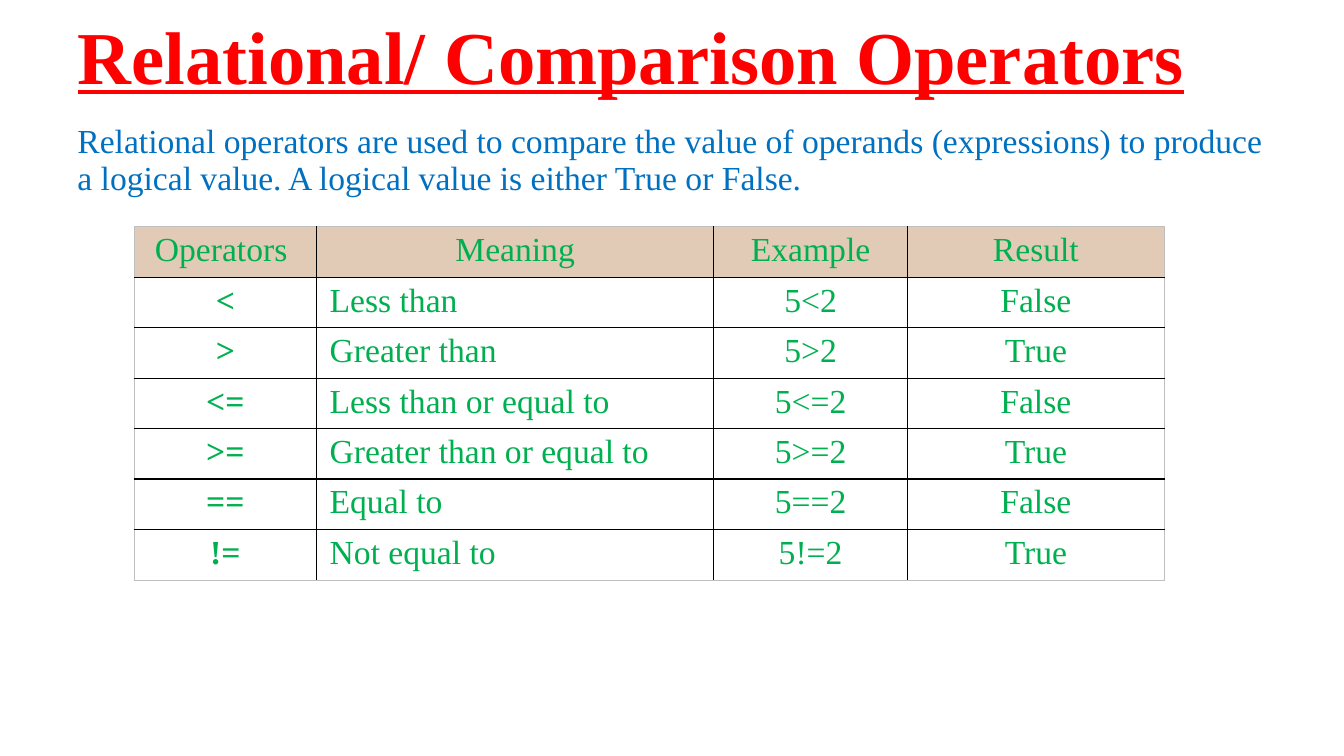
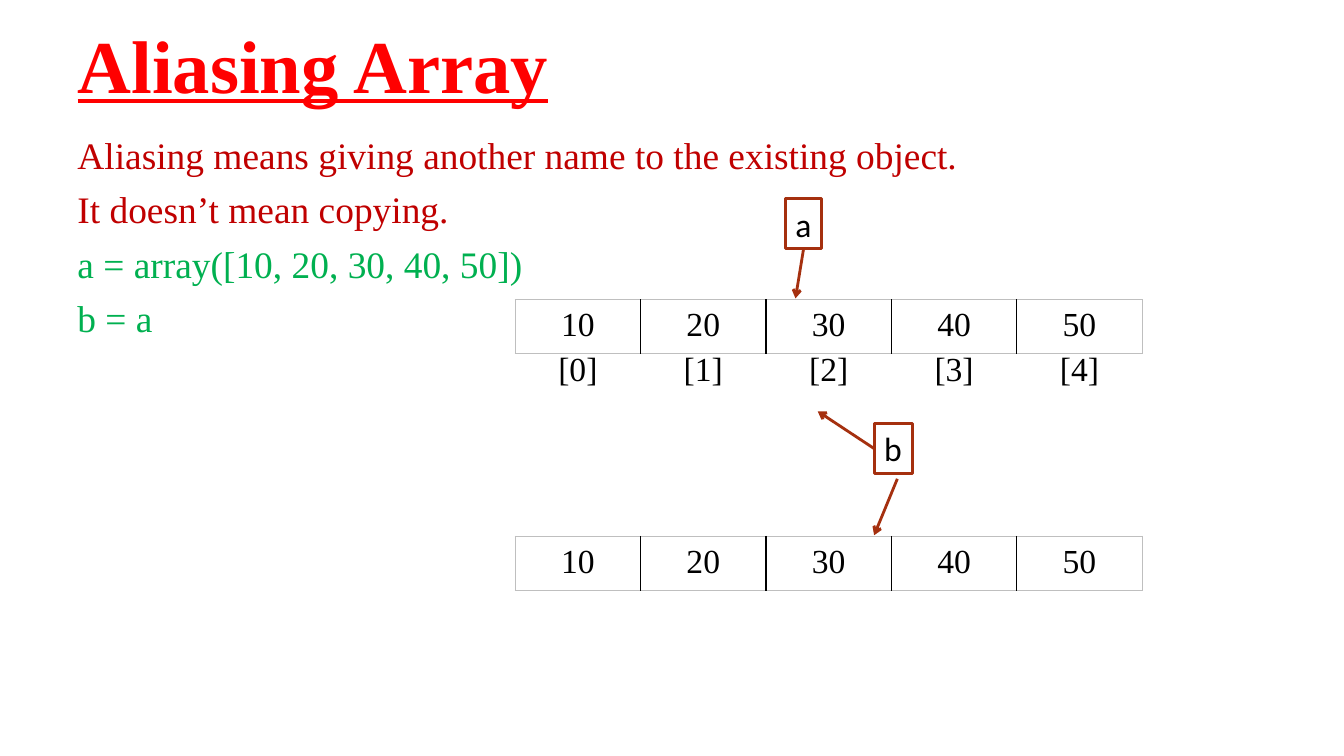
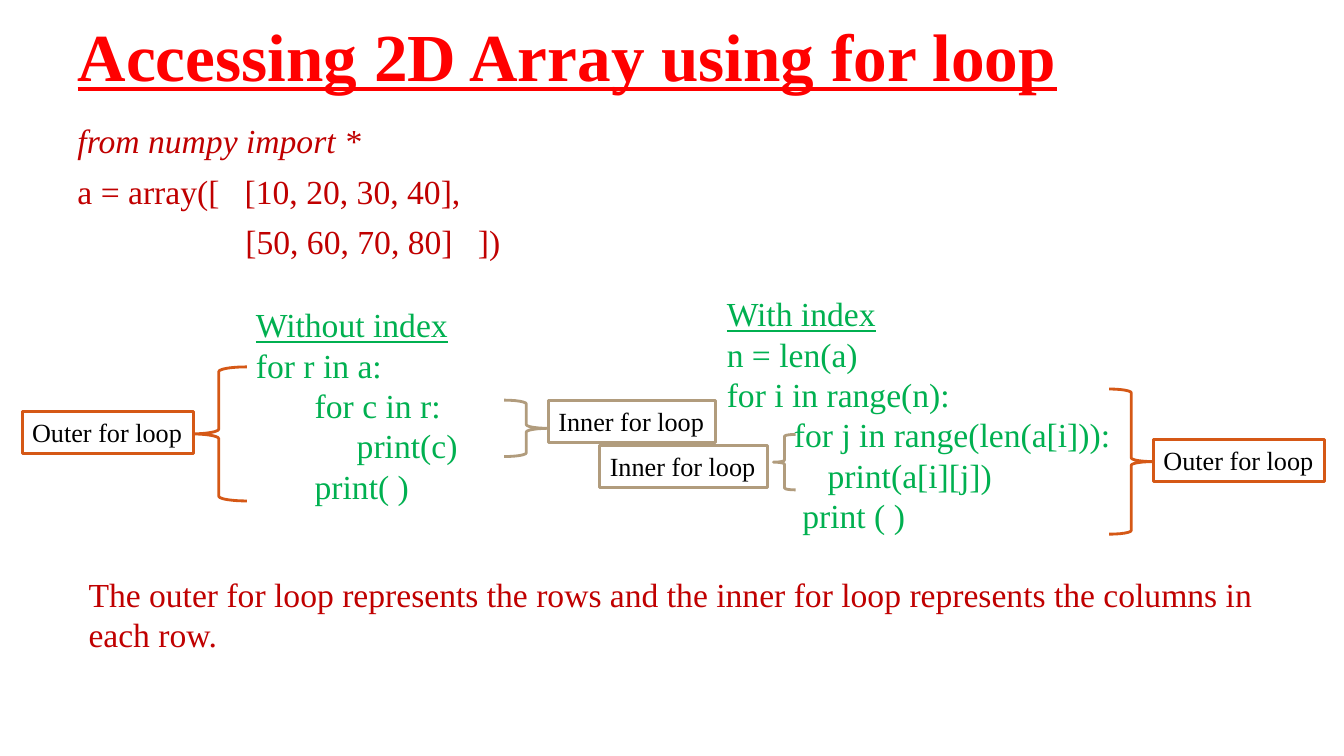
"""Build three lecture slides on operators, array aliasing and loops over 2D arrays."""
from dataclasses import dataclass
from typing import Optional, Sequence

from lxml import etree
from pptx import Presentation
from pptx import util as u
from pptx.dml.color import RGBColor
from pptx.enum import shapes, text
from pptx.oxml.ns import qn

SERIF, SANS = "Times New Roman", "Calibri"
RED, DARK_RED, GREEN, BLUE = "FF0000", "C00000", "00B050", "0070C0"
BLACK, WHITE, GREY, SAND = "000000", "FFFFFF", "BFBFBF", "E1CBB6"
RUST, ORANGE, TAN = "A5300F", "D55816", "B19C7D"
NO_GRID_STYLE = "{2D5ABB26-0587-4C30-8999-92F81FD0307C}"
LEFT, CENTER = text.PP_ALIGN.LEFT, text.PP_ALIGN.CENTER
BRACE = {"left": shapes.MSO_SHAPE.LEFT_BRACE, "right": shapes.MSO_SHAPE.RIGHT_BRACE}


@dataclass
class Box:
    """Position and size in inches."""
    left: float
    top: float
    width: float
    height: float

    def lengths(self) -> list:
        """Return the four values as lengths."""
        return [u.Inches(v) for v in (self.left, self.top, self.width, self.height)]


@dataclass
class Line:
    """One paragraph with its own format."""
    text: str
    color: Optional[str] = None
    underline: bool = False
    italic: bool = False


@dataclass
class Label:
    """A framed label."""
    text: str
    box: Box
    color: str
    fill: Optional[str] = WHITE
    font: str = SERIF
    size: float = 18.7


@dataclass
class Brace:
    """A curly brace that marks the lines of one loop."""
    side: str
    box: Box
    color: str


def rgb(color: str) -> RGBColor:
    """Turn a hex string into a colour."""
    return RGBColor.from_string(color)


def write(frame, lines: Sequence[Line], *, size: float = 24, color: str = BLACK,
          font: str = SERIF, bold: bool = False, align=LEFT,
          spacing: Optional[float] = None, before: float = 0, tab: float = 0) -> None:
    """Fill a text frame with formatted paragraphs."""
    for i, line in enumerate(lines):
        paragraph = frame.add_paragraph() if i else frame.paragraphs[0]
        paragraph.alignment = align
        if spacing:
            paragraph.line_spacing = spacing
        if i and before:
            paragraph.space_before = u.Pt(before)
        if tab:
            stops = etree.SubElement(paragraph._p.get_or_add_pPr(), qn("a:tabLst"))
            etree.SubElement(stops, qn("a:tab"), pos=str(u.Inches(tab)), algn="l")
        run = paragraph.add_run()
        run.text = line.text
        face = run.font
        face.name, face.size, face.bold = font, u.Pt(size), bold
        face.italic, face.underline = line.italic, line.underline
        face.color.rgb = rgb(line.color or color)


def add_titled_slide(deck, title: str, top: float = -0.03, size: float = 53.3):
    """Add a slide with the shared title style."""
    slide = deck.slides.add_slide(deck.slide_layouts[5])
    heading = slide.shapes.title
    heading.left, heading.top, heading.width, heading.height = Box(0.67, top, 12, 1.25).lengths()
    frame = heading.text_frame
    frame.auto_size = text.MSO_AUTO_SIZE.NONE
    frame.vertical_anchor = text.MSO_ANCHOR.MIDDLE
    write(frame, [Line(title, underline=True)], size=size, color=RED, bold=True, spacing=0.9)
    return slide


def add_text(slide, box: Box, lines: Sequence[Line], **fmt) -> None:
    """Add a wrapping text box."""
    frame = slide.shapes.add_textbox(*box.lengths()).text_frame
    frame.word_wrap = True
    write(frame, lines, **fmt)


def add_outline(slide, kind, box: Box, color: str, fill: Optional[str] = None):
    """Add an outlined preset shape."""
    shape = slide.shapes.add_shape(kind, *box.lengths())
    shape.shadow.inherit = False
    if fill:
        shape.fill.solid()
        shape.fill.fore_color.rgb = rgb(fill)
    else:
        shape.fill.background()
    shape.line.color.rgb = rgb(color)
    shape.line.width = u.Pt(2)
    return shape


def add_label(slide, label: Label):
    """Add a framed label that grows with its text."""
    shape = add_outline(slide, shapes.MSO_SHAPE.RECTANGLE, label.box, label.color, label.fill)
    frame = shape.text_frame
    frame.word_wrap = False
    frame.auto_size = text.MSO_AUTO_SIZE.SHAPE_TO_FIT_TEXT
    frame.vertical_anchor = text.MSO_ANCHOR.TOP
    write(frame, [Line(label.text)], size=label.size, font=label.font)
    return shape


def add_arrow(slide, start: tuple, end: tuple, source=None, site: int = 0) -> None:
    """Add an arrow, joined to a side of its source if one is given."""
    arrow = slide.shapes.add_connector(
        shapes.MSO_CONNECTOR.STRAIGHT, *[u.Inches(v) for v in (*start, *end)])
    if source is not None:
        arrow.begin_connect(source, site)
    arrow.line.color.rgb = rgb(RUST)
    arrow.line.width = u.Pt(2)
    properties = arrow.element.spPr
    etree.SubElement(properties.find(qn("a:ln")), qn("a:tailEnd"), type="arrow")
    etree.SubElement(properties, qn("a:effectLst"))


def add_border(cell, side: str, color: str, width: float) -> None:
    """Draw one border of a cell."""
    edge = etree.SubElement(cell._tc.get_or_add_tcPr(), qn(f"a:ln{side}"), w=str(u.Pt(width)))
    fill = etree.SubElement(edge, qn("a:solidFill"))
    etree.SubElement(fill, qn("a:srgbClr"), val=color)


def add_grid(slide, box: Box, rows: Sequence[Sequence[str]], *, widths: Sequence[float] = (),
             inset: float = 0.07, color: str = BLACK, bordered: bool = True,
             header: Optional[str] = None) -> None:
    """Add a table; with a header fill, symbols are bold and meanings left-aligned."""
    count, columns = len(rows), len(rows[0])
    holder = slide.shapes.add_table(count, columns, *box.lengths())
    table = holder.table
    table.first_row = table.horz_banding = False
    next(holder.element.iter(qn("a:tableStyleId"))).text = NO_GRID_STYLE
    for c, width in enumerate(widths or [box.width / columns] * columns):
        table.columns[c].width = u.Inches(width)
    for r, row in enumerate(rows):
        for c, value in enumerate(row):
            cell = table.cell(r, c)
            cell.margin_left = cell.margin_right = u.Inches(0.13)
            cell.margin_top = cell.margin_bottom = u.Inches(inset)
            if bordered:
                outer = {"L": c == 0, "R": c == columns - 1, "T": r == 0, "B": r == count - 1}
                for side, is_outer in outer.items():
                    add_border(cell, side, *((GREY, 0.5) if is_outer else (BLACK, 1)))
            if header and r == 0:
                cell.fill.solid()
                cell.fill.fore_color.rgb = rgb(header)
            else:
                cell.fill.background()
            in_body = bool(header) and r > 0
            write(cell.text_frame, [Line(value)], color=color, bold=in_body and c == 0,
                  align=LEFT if in_body and c == 1 else CENTER)


def build_operators(deck) -> None:
    """Slide on relational operators."""
    slide = add_titled_slide(deck, "Relational/ Comparison Operators")
    add_text(slide, Box(0.67, 1.19, 12, 1.22), [Line(
        "Relational operators are used to compare the value of operands (expressions) "
        "to produce a logical value. A logical value is either True or False.")],
        color=BLUE, spacing=0.9)
    operators = [
        ("<", "Less than", "False"),
        (">", "Greater than", "True"),
        ("<=", "Less than or equal to", "False"),
        (">=", "Greater than or equal to", "True"),
        ("==", "Equal to", "False"),
        ("!=", "Not equal to", "True"),
    ]
    rows = [("Operators ", "Meaning", "Example", "Result")]
    rows += [(sign, meaning, f"5{sign}2", result) for sign, meaning, result in operators]
    add_grid(slide, Box(1.33, 2.25, 10.22, 3.5), rows, widths=(1.81, 3.94, 1.92, 2.55),
             inset=0.05, color=GREEN, header=SAND)


def build_aliasing(deck) -> None:
    """Slide on aliasing an array."""
    slide = add_titled_slide(deck, "Aliasing Array", top=0.06)
    add_text(slide, Box(0.67, 1.31, 12, 4.95), [
        Line("Aliasing means giving another name to the existing object."),
        Line("It doesn’t mean copying."),
        Line("a = array([10, 20, 30, 40, 50])", GREEN),
        Line("b = a", GREEN),
    ], size=26.7, color=DARK_RED, spacing=0.9, before=10)
    name_a, name_b = [
        add_label(slide, Label(name, box, RUST, font=SANS, size=24))
        for name, box in (("a", Box(7.79, 1.97, 0.36, 0.5)), ("b", Box(8.67, 4.2, 0.38, 0.5)))]
    add_arrow(slide, (7.97, 2.47), (7.89, 2.96), name_a, 2)
    add_arrow(slide, (8.9, 4.75), (8.67, 5.31))
    add_arrow(slide, (8.67, 4.45), (8.11, 4.08), name_b, 1)
    values = [str(n) for n in range(10, 51, 10)]
    indexes = [f"[{i}]" for i in range(len(values))]
    for top, row, bordered in ((2.97, values, True), (3.42, indexes, False), (5.32, values, True)):
        add_grid(slide, Box(5.11, top, 6.22, 0.54), [row], bordered=bordered)


def build_loops(deck) -> None:
    """Slide on reading a 2D array with for loops."""
    slide = add_titled_slide(deck, "Accessing 2D Array using for loop", size=48)
    add_text(slide, Box(0.67, 1.19, 9.89, 1.67), [
        Line("from numpy import *", italic=True),
        Line("a = array([   [10, 20, 30, 40],"),
        Line("                    [50, 60, 70, 80]   ])"),
    ], color=DARK_RED, spacing=0.9, before=10)
    listings = [
        (Box(7.11, 2.86, 4.89, 2.52), "With index", [
            "n = len(a)",
            "for i in range(n):",
            "        for j in range(len(a[i])):",
            "\tprint(a[i][j])",
            "         print ( )"]),
        (Box(2.44, 2.97, 3.44, 2.12), "Without index", [
            "for r in a:",
            "       for c in r:",
            "\tprint(c)",
            "       print( )"]),
    ]
    for box, heading, code in listings:
        add_text(slide, box, [Line(heading, underline=True), *map(Line, code)],
                 color=GREEN, tab=1)
    braces = [
        Brace("left", Box(1.89, 3.64, 0.56, 1.33), ORANGE),
        Brace("right", Box(11, 3.86, 0.44, 1.44), ORANGE),
        Brace("right", Box(5, 3.97, 0.44, 0.56), TAN),
        Brace("left", Box(7.67, 4.31, 0.22, 0.55), TAN),
    ]
    for brace in braces:
        add_outline(slide, BRACE[brace.side], brace.box, brace.color)
    labels = [
        Label("Outer for loop", Box(0.22, 4.08, 1.7, 0.42), ORANGE),
        Label("Outer for loop", Box(11.44, 4.36, 1.7, 0.42), ORANGE),
        Label("Inner for loop", Box(5.44, 3.97, 1.66, 0.42), TAN),
        Label("Inner for loop", Box(5.95, 4.42, 1.66, 0.42), TAN, fill=None),
    ]
    for label in labels:
        add_label(slide, label)
    add_text(slide, Box(0.78, 5.64, 12.13, 0.91), [Line(
        "The outer for loop represents the rows and the inner for loop represents "
        "the columns in each row.")], color=DARK_RED)


def main() -> None:
    """Build and save the deck."""
    deck = Presentation()
    deck.slide_width, deck.slide_height = u.Inches(13.33), u.Inches(7.5)
    build_operators(deck)
    build_aliasing(deck)
    build_loops(deck)
    deck.save("out.pptx")


if __name__ == "__main__":
    main()
